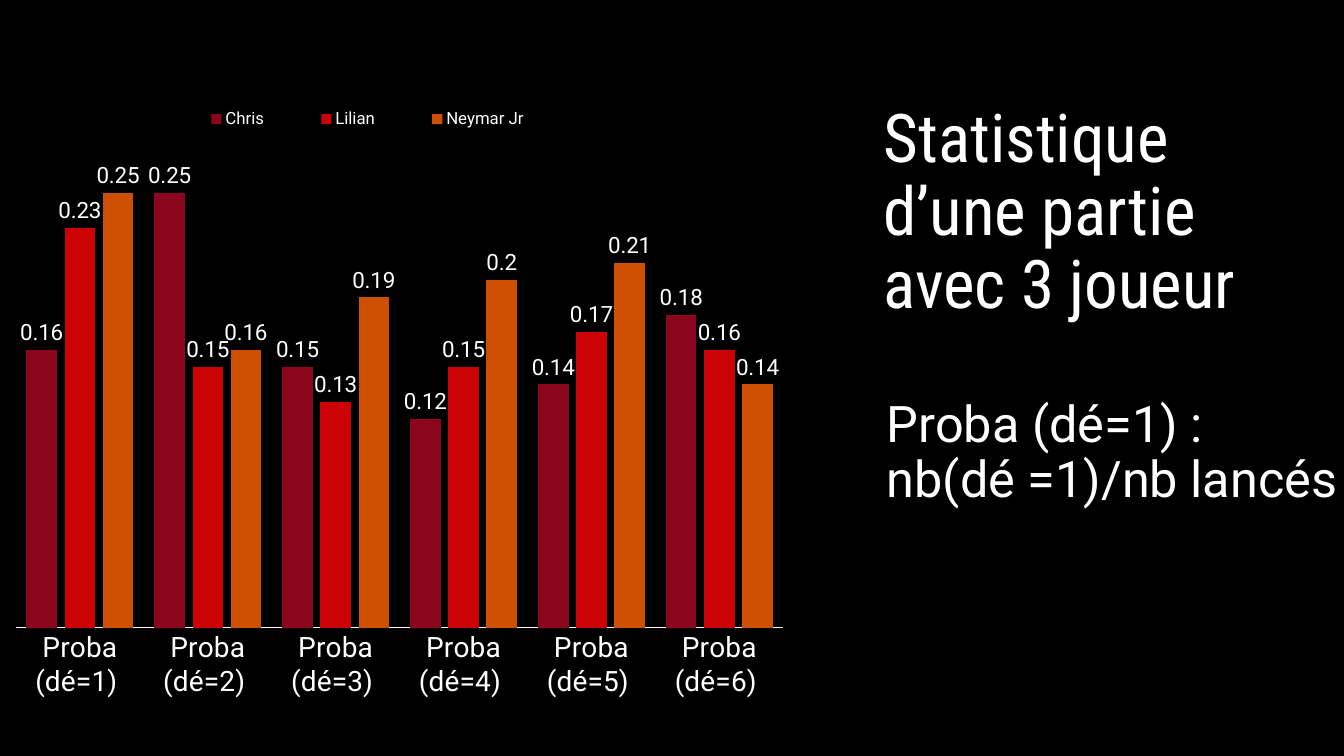
from pptx import Presentation
from pptx.util import Pt
from pptx.dml.color import RGBColor
from pptx.chart.data import CategoryChartData as Data
from pptx.enum.chart import XL_CHART_TYPE as Kind, XL_LEGEND_POSITION as Spot
from pptx.enum.chart import XL_TICK_MARK as Tick, XL_LABEL_POSITION as Place
from pptx.enum.shapes import MSO_SHAPE as Form
from pptx.enum.text import MSO_ANCHOR as Anchor
from pptx.oxml import parse_xml
from pptx.oxml.ns import nsdecls


def tint(part, code):
    part.rgb = RGBColor.from_string(code)


def style(font, size, name="Roboto"):
    for key, val in {"size": Pt(size), "name": name, "bold": False}.items():
        setattr(font, key, val)
    font.fill.solid()
    tint(font.fill.fore_color, "FFFFFF")


deck = Presentation()
deck.slide_width, deck.slide_height = Pt(960), Pt(540)
slide = deck.slides.add_slide(deck.slide_layouts[6])
slide.background.fill.solid()
tint(slide.background.fill.fore_color, "000000")

panel = slide.shapes.add_shape(Form.RECTANGLE, 0, 0, Pt(588), Pt(540))
panel.shadow.inherit = False
panel.fill.solid()
tint(panel.fill.fore_color, "000000")
shade = panel.fill._xPr.solidFill[0]
shade.append(parse_xml(f'<a:alpha {nsdecls("a")} val="60000"/>'))
panel.line.fill.background()

rows = {
    "Chris": ("8C061E", (0.16, 0.25, 0.15, 0.12, 0.14, 0.18)),
    "Lilian": ("CD0205", (0.23, 0.15, 0.13, 0.15, 0.17, 0.16)),
    "Neymar Jr": ("D05002", (0.25, 0.16, 0.19, 0.2, 0.21, 0.14)),
}
data = Data()
data.categories = [f"Proba (dé={n}) " for n in range(1, 7)]
for name, (code, vals) in rows.items():
    data.add_series(name, vals)

frame = slide.shapes.add_chart(
    Kind.COLUMN_CLUSTERED, 0, Pt(43.2), Pt(571), Pt(465.8), data)
chart = frame.chart
chart.has_title = False
style(chart.font, 10)

plot = chart.plots[0]
for key, val in {"gap_width": 69, "overlap": -25, "vary_by_categories": False}.items():
    setattr(plot, key, val)
for bar, (code, vals) in zip(plot.series, rows.values()):
    bar.format.fill.solid()
    tint(bar.format.fill.fore_color, code)
    tags = bar.data_labels
    tags.show_value = True
    tags.position = Place.OUTSIDE_END
    style(tags.font, 16)

base = chart.category_axis
base.major_tick_mark = base.minor_tick_mark = Tick.NONE
style(base.tick_labels.font, 20)
base.format.line.width = Pt(0.75)
tint(base.format.line.color, "FFFFFF")

scale = chart.value_axis
for key, val in {"minimum_scale": 0, "maximum_scale": 0.3,
                 "has_major_gridlines": False, "visible": False}.items():
    setattr(scale, key, val)

chart.has_legend = True
key_box = chart.legend
key_box.position = Spot.TOP
key_box.include_in_layout = False
style(key_box.font, 12)

area = chart._chartSpace.chart.plotArea
for old in area.findall("{*}layout"):
    area.remove(old)
for old in key_box._element.findall("{*}layout"):
    key_box._element.remove(old)
spots = [
    (area, 0, '<c:layoutTarget val="inner"/>', (0.02, 0.07, 0.96, 0.8)),
    (key_box._element, 1, "", (0.2, 0.06, 0.52, 0.06)),
]
for host, rank, aim, box in spots:
    modes = '<c:xMode val="edge"/><c:yMode val="edge"/>'
    sides = "".join(f'<c:{k} val="{v}"/>' for k, v in zip("xywh", box))
    host.insert(rank, parse_xml(
        f'<c:layout {nsdecls("c")}><c:manualLayout>{aim}{modes}{sides}'
        "</c:manualLayout></c:layout>"))

texts = [
    ("Statistique d’une partie avec 3 joueur", (624, 66, 288, 168),
     Anchor.BOTTOM, 48, "Roboto Condensed", 0),
    ("Proba (dé=1) : \vnb(dé =1)/nb lancés", (626.4, 281.5, 378, 228),
     Anchor.TOP, 36, "Roboto", 12),
]
for words, box, anchor, size, face, gap in texts:
    body = slide.shapes.add_textbox(*map(Pt, box)).text_frame
    body.word_wrap = True
    body.vertical_anchor = anchor
    para = body.paragraphs[0]
    para.text = words
    para.line_spacing = 0.9
    para.space_before = Pt(gap)
    for run in para.runs:
        style(run.font, size, face)

deck.save("out.pptx")
